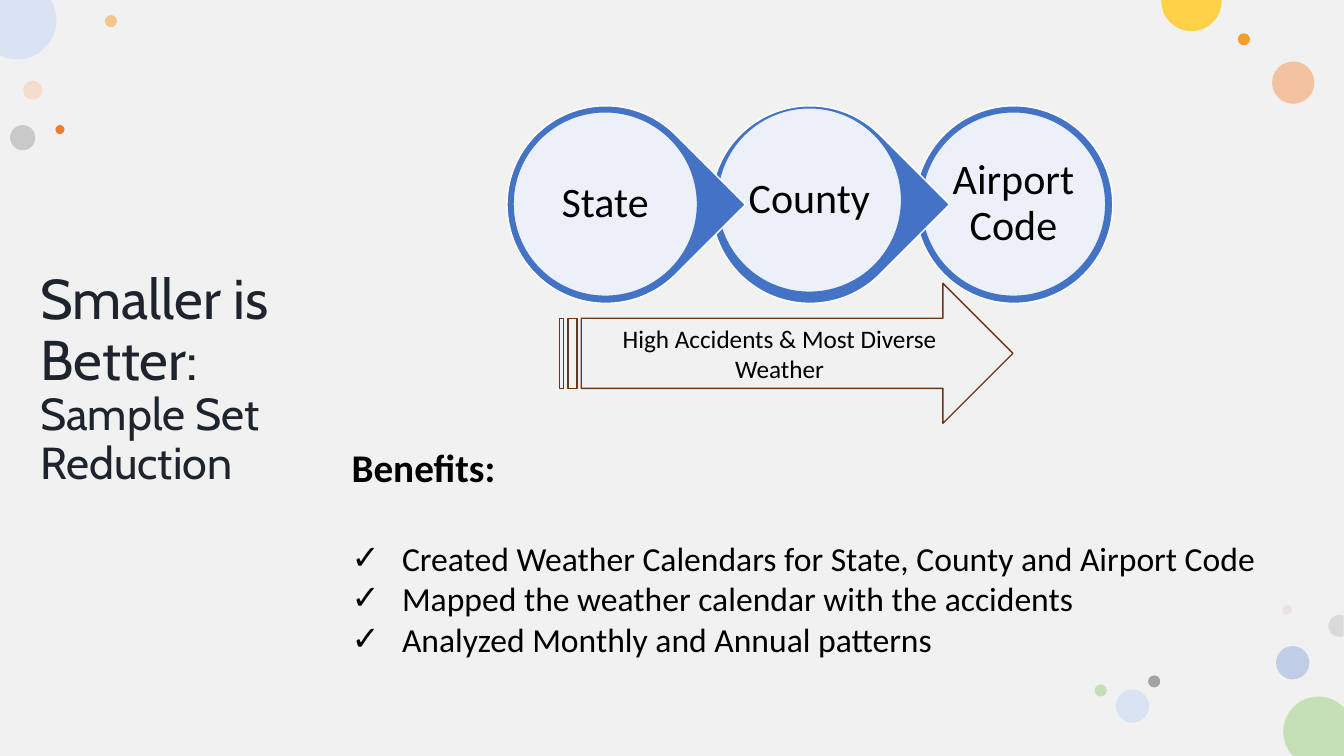
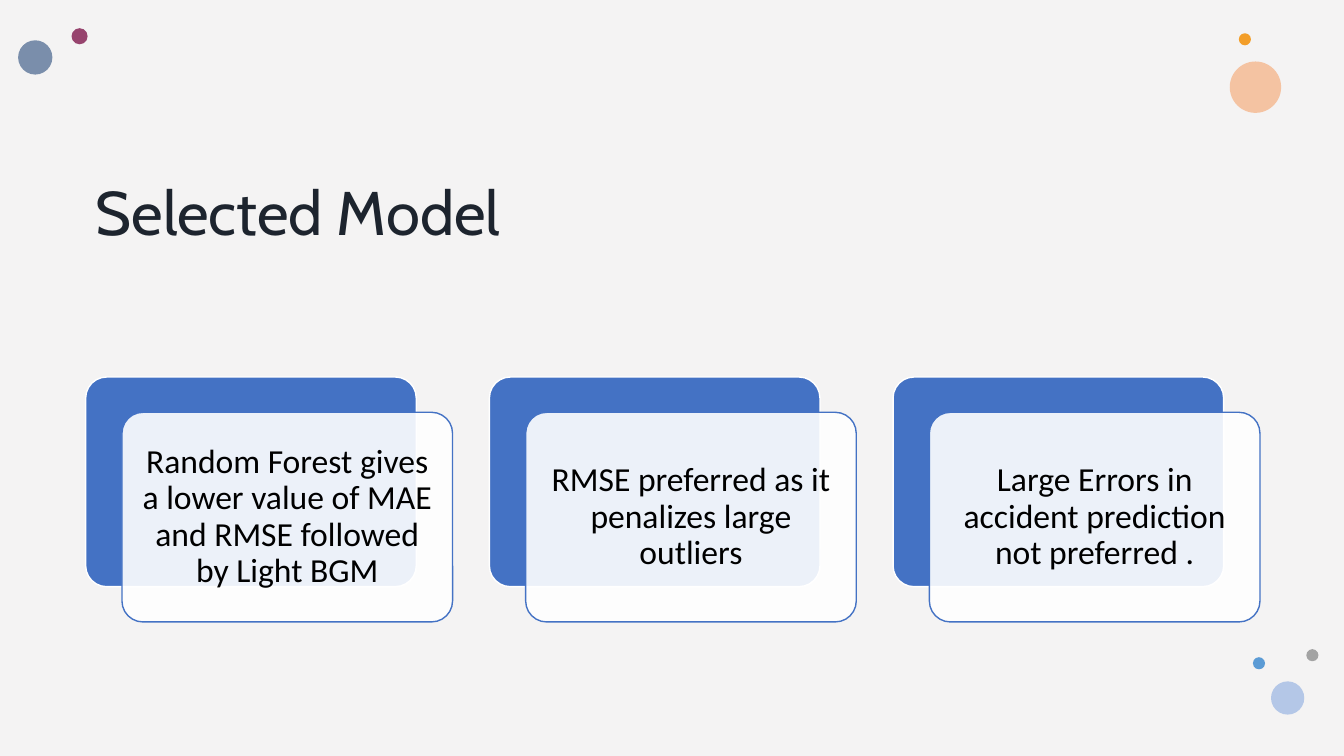
import math

from lxml import etree
from pptx import Presentation
from pptx.dml.color import RGBColor
from pptx.enum import shapes, text
from pptx.oxml import ns
from pptx.util import Inches, Pt

# Colours
BLACK = RGBColor(0x00, 0x00, 0x00)
WHITE = RGBColor(0xFF, 0xFF, 0xFF)
INK = RGBColor(0x1D, 0x24, 0x2E)
BLUE = RGBColor(0x44, 0x72, 0xC4)
BROWN = RGBColor(0x68, 0x37, 0x15)
PAPER = RGBColor(0xF2, 0xF1, 0xF1)
TINT = RGBColor(0xDB, 0xD8, 0xD8)
PEACH = RGBColor(0xF8, 0xCB, 0xAD)
APRICOT = RGBColor(0xF4, 0xB1, 0x83)
AMBER = RGBColor(0xF3, 0x9E, 0x29)
ORANGE = RGBColor(0xED, 0x7D, 0x31)
YELLOW = RGBColor(0xFF, 0xD1, 0x49)
GREEN = RGBColor(0xC5, 0xE0, 0xB4)
GREY = RGBColor(0xA3, 0xA3, 0xA3)
SILVER = RGBColor(0xDA, 0xDA, 0xDA)
ROSE = RGBColor(0xE3, 0xBE, 0xBE)
PLUM = RGBColor(0x97, 0x44, 0x6E)
SLATE = RGBColor(0x7A, 0x8E, 0xAB)
SKY = RGBColor(0x5B, 0x9B, 0xD5)
MIST = RGBColor(0xDA, 0xE3, 0xF3)
PERIWINKLE = RGBColor(0x8F, 0xAA, 0xDC)
POWDER = RGBColor(0xB4, 0xC7, 0xE7)

# Slide size and text formats
WIDTH, HEIGHT = 40 / 3, 7.5
TITLE = {"name": "Cabin"}
BODY = {"name": "Calibri", "bold": False}
SHAPE = shapes.MSO_SHAPE
ANCHOR = text.MSO_ANCHOR


class Deck:
    """Holds the presentation, its style and the current slide."""

    def __init__(self):
        self.prs = Presentation()
        self.prs.slide_width = Inches(WIDTH)
        self.prs.slide_height = Inches(HEIGHT)
        self.s = None

    def new_slide(self, paper, alpha=100):
        self.s = self.prs.slides.add_slide(self.prs.slide_layouts[6])
        self.shape(SHAPE.RECTANGLE, 0, 0, WIDTH, HEIGHT, fill=paper, alpha=alpha)

    def paint(self, sp, fill=None, line=None, alpha=100):
        sp.shadow.inherit = False
        if fill is None:
            sp.fill.background()
        else:
            sp.fill.solid()
            sp.fill.fore_color.rgb = fill
            if alpha < 100:
                clr = sp.fill._xPr.find(".//" + ns.qn("a:srgbClr"))
                etree.SubElement(clr, ns.qn("a:alpha"), val=str(alpha * 1000))
        if line is None:
            sp.line.fill.background()
        else:
            sp.line.color.rgb = line
            sp.line.width = Pt(1)
        return sp

    def shape(self, kind, left, top, width, height, **look):
        sp = self.s.shapes.add_shape(kind, *map(Inches, (left, top, width, height)))
        return self.paint(sp, **look)

    def dots(self, rows):
        for left, top, size, fill, alpha in rows:
            self.shape(SHAPE.OVAL, left, top, size, size, fill=fill, alpha=alpha)

    def edge_dot(self, cx, cy, radius, fill, start, end, corners=(), steps=16):
        """A circle cut off at the slide's edges: the visible arc, then any corner."""
        angles = [math.radians(start + (end - start) * i / steps) for i in range(steps + 1)]
        arc = [(min(max(cx + radius * math.cos(a), 0), WIDTH),
                min(max(cy + radius * math.sin(a), 0), HEIGHT)) for a in angles]
        points = [(Inches(x), Inches(y)) for x, y in (*arc, *corners)]
        outline = self.s.shapes.build_freeform(*points[0])
        outline.add_line_segments(points[1:], close=True)
        self.paint(outline.convert_to_shape(), fill=fill)

    def frame(self, sp, anchor, inset=None):
        tf = sp.text_frame
        tf.word_wrap = True
        tf.vertical_anchor = anchor
        if inset is not None:
            for side in ("left", "top", "right", "bottom"):
                setattr(tf, f"margin_{side}", Inches(inset))
        return tf

    def box(self, left, top, width, height, anchor=ANCHOR.TOP):
        sp = self.s.shapes.add_textbox(*map(Inches, (left, top, width, height)))
        return self.frame(sp, anchor)

    def run(self, p, words, size, style=BODY, color=BLACK, **extra):
        r = p.add_run()
        r.text = words
        for name, value in {**style, "size": Pt(size), **extra}.items():
            setattr(r.font, name, value)
        r.font.color.rgb = color

    def label(self, sp, words, size, inset=None, spacing=0.9):
        p = self.frame(sp, ANCHOR.MIDDLE, inset).paragraphs[0]
        p.alignment = text.PP_ALIGN.CENTER
        p.line_spacing = spacing
        self.run(p, words, size)

    def title(self, left, top, width, height, parts, anchor=ANCHOR.TOP):
        p = self.box(left, top, width, height, anchor).paragraphs[0]
        p.line_spacing = 0.9
        for i, (words, size) in enumerate(parts):
            if i:
                p.add_line_break()
            self.run(p, words, size, TITLE, INK)

    def checklist(self, left, top, width, height, heading, items):
        tf = self.box(left, top, width, height)
        p = tf.paragraphs[0]
        p.space_after = Pt(34)
        self.run(p, heading, 28, bold=True)
        for item in items:
            p = tf.add_paragraph()
            pPr = p._p.get_or_add_pPr()
            pPr.set("marL", str(Inches(0.5)))
            pPr.set("indent", str(-Inches(0.5)))
            etree.SubElement(pPr, ns.qn("a:buFont"), typeface=BODY["name"])
            etree.SubElement(pPr, ns.qn("a:buChar"), char="✓")
            self.run(p, item, 24)

    def link(self, left, top, words, kind, inner_drop):
        """One circle of the chain, with its pale centre."""
        size, inner = 1.96, 1.83
        sp = self.shape(kind, left, top, size, size, fill=BLUE, line=WHITE)
        if kind == SHAPE.TEAR:
            sp.adjustments[0] = 1
            sp.rotation = 45
        sp = self.shape(SHAPE.OVAL, left + 0.06, top + inner_drop, inner, inner,
                        fill=WHITE, line=BLUE, alpha=90)
        self.label(sp, words, 30, inset=0.02)

    def card(self, left, top, words):
        width, height = 3.28, 2.08
        for shift_x, shift_y, look in ((0, 0, {"fill": BLUE, "line": WHITE}),
                                       (0.36, 0.35, {"fill": WHITE, "line": BLUE, "alpha": 90})):
            sp = self.shape(SHAPE.ROUNDED_RECTANGLE, left + shift_x, top + shift_y,
                            width, height, **look)
            sp.adjustments[0] = 0.1
        self.label(sp, words, 24, inset=0.1)


def sample_reduction(deck):
    deck.new_slide(PAPER)

    # Scattered dots
    deck.dots([
        (0.23, 0.8, 0.19, PEACH, 50), (1.04, 0.15, 0.12, AMBER, 50),
        (12.66, 6.41, 0.33, PERIWINKLE, 50), (0.1, 1.24, 0.25, GREY, 50),
        (12.62, 0.61, 0.42, APRICOT, 72), (12.28, 0.33, 0.12, AMBER, 100),
        (12.72, 6, 0.1, ROSE, 28), (11.39, 6.7, 0.12, GREY, 100),
        (11.07, 6.84, 0.33, MIST, 100), (10.86, 6.79, 0.12, GREEN, 100),
        (0.55, 1.24, 0.09, ORANGE, 100),
    ])
    deck.edge_dot(13.08, 7.26, 0.35, GREEN, 136, 316, [(WIDTH, HEIGHT)])
    deck.edge_dot(0.17, 0.2, 0.39, MIST, -31, 116, [(0, 0)])
    deck.edge_dot(11.82, 0.01, 0.3, YELLOW, -2, 182)
    deck.edge_dot(13.29, 6.21, 0.11, SILVER, 68, 292)

    # Title
    deck.title(0.3, 1.59, 2.96, 3.31,
               [("Smaller is Better:", 40), ("Sample Set Reduction", 32)],
               ANCHOR.BOTTOM)

    # Chain of circles, the last one at the back
    chain = [("State", SHAPE.TEAR, 0.06), ("County", SHAPE.TEAR, 0.02),
             ("Airport Code", SHAPE.OVAL, 0.06)]
    for i, (words, kind, drop) in reversed(list(enumerate(chain))):
        deck.link(5.03 + i * 4.05 / 2, 1.05, words, kind, drop)

    # Arrow and benefits
    sp = deck.shape(SHAPE.STRIPED_RIGHT_ARROW, 5.55, 2.81, 4.5, 1.39, line=BROWN)
    deck.label(sp, "High Accidents & Most Diverse Weather", 18, spacing=1.0)
    deck.checklist(3.39, 4.35, 9.6, 2.56, "Benefits:", [
        "Created Weather Calendars for State, County and Airport Code",
        "Mapped the weather calendar with the accidents",
        "Analyzed Monthly and Annual patterns",
    ])


def selected_model(deck):
    deck.new_slide(TINT, alpha=30)

    # Scattered dots
    deck.dots([
        (0.71, 0.28, 0.16, PLUM, 100), (12.2, 0.61, 0.51, APRICOT, 72),
        (12.29, 0.33, 0.12, AMBER, 100), (0.18, 0.4, 0.34, SLATE, 100),
        (12.96, 6.44, 0.12, GREY, 100), (12.61, 6.76, 0.33, POWDER, 100),
        (12.43, 6.52, 0.12, SKY, 100),
    ])

    # Title and cards
    deck.title(0.85, 1.76, 11.78, 1.97, [("Selected Model", 44)])
    for i, words in enumerate((
            "Random Forest gives a lower value of MAE and RMSE followed by Light BGM",
            "RMSE preferred as it penalizes large outliers",
            "Large Errors in accident prediction not preferred .")):
        deck.card(0.85 + i * 8.01 / 2, 3.74, words)


def main():
    deck = Deck()
    sample_reduction(deck)
    selected_model(deck)
    deck.prs.save("out.pptx")


if __name__ == "__main__":
    main()
